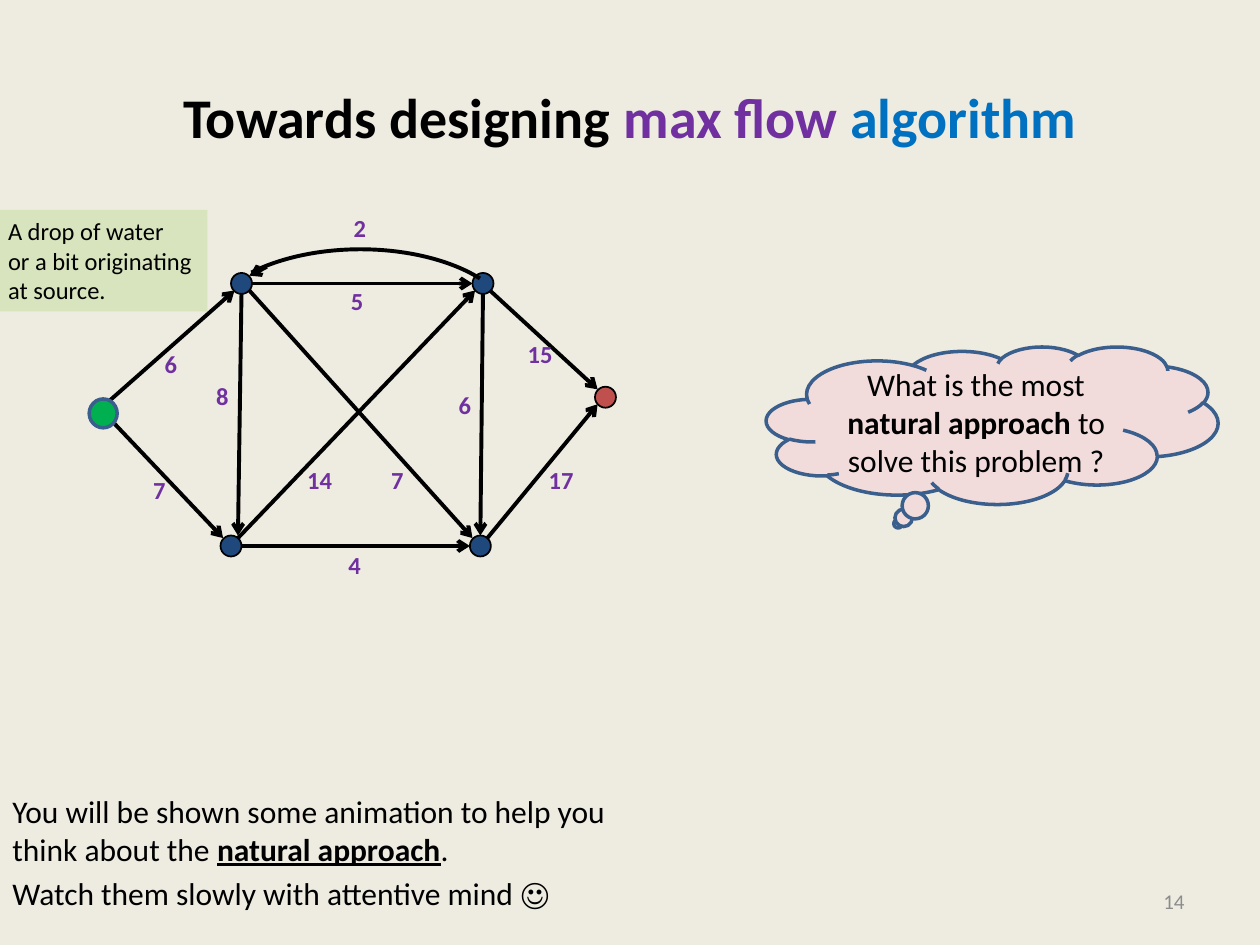
"""Build a slide with a flow network and a question about the natural approach."""
from lxml import etree
from pptx import Presentation
from pptx import util as u
from pptx.dml.color import RGBColor
from pptx.enum import shapes, text
from pptx.oxml.ns import qn

BLACK = RGBColor(0x00, 0x00, 0x00)
PURPLE = RGBColor(0x70, 0x30, 0xA0)
BLUE = RGBColor(0x00, 0x70, 0xC0)
GREY = RGBColor(0x8C, 0x8C, 0x8C)
CREAM = RGBColor(0xEE, 0xEC, 0xE1)
NAVY = RGBColor(0x1F, 0x49, 0x7D)
RED = RGBColor(0xC0, 0x50, 0x4D)
GREEN = RGBColor(0x00, 0xB0, 0x50)
OUTLINE = RGBColor(0x3A, 0x5F, 0x8C)
PINK = RGBColor(0xF2, 0xDC, 0xDB)
LIME = RGBColor(0xD7, 0xE4, 0xBD)

LEFT, CENTER, RIGHT = text.PP_ALIGN.LEFT, text.PP_ALIGN.CENTER, text.PP_ALIGN.RIGHT
TOP, MIDDLE = text.MSO_ANCHOR.TOP, text.MSO_ANCHOR.MIDDLE

deck = Presentation()
deck.slide_width, deck.slide_height = u.Pt(720), u.Pt(540)
page = deck.slides.add_slide(deck.slide_layouts[6])
page.background.fill.solid()
page.background.fill.fore_color.rgb = CREAM


def write(box, paragraphs, size, align=LEFT, anchor=TOP, wrap=True, gap=0):
    """Fill a shape with paragraphs made of (words, format values) spans."""
    frame = box.text_frame
    frame.word_wrap, frame.vertical_anchor = wrap, anchor
    for index, spans in enumerate(paragraphs):
        para = frame.paragraphs[0] if index == 0 else frame.add_paragraph()
        para.alignment = align
        if index and gap:
            para.space_before = u.Pt(gap)
        for words, changes in spans:
            span = para.add_run()
            span.text = words
            values = {"name": "Calibri", "size": u.Pt(size), "color": BLACK, **changes}
            span.font.color.rgb = values.pop("color")
            for name, value in values.items():
                setattr(span.font, name, value)


def draw(kind, place, fill, line, width):
    """Add a preset shape; a fill or line of None is left out."""
    shape = page.shapes.add_shape(kind, *map(u.Pt, place))
    shape.shadow.inherit = False
    for paint, color in ((shape.fill, fill), (shape.line.fill, line)):
        if color is None:
            paint.background()
        else:
            paint.solid()
            paint.fore_color.rgb = color
    if line is not None:
        shape.line.width = u.Pt(width)
    return shape


title = page.shapes.add_textbox(u.Pt(36), u.Pt(21.6), u.Pt(648), u.Pt(90))
write(title, [[("Towards designing ", {"bold": True}),
               ("max flow ", {"bold": True, "color": PURPLE}),
               ("algorithm", {"bold": True, "color": BLUE})]], 32, CENTER, MIDDLE)

advice = page.shapes.add_textbox(u.Pt(0), u.Pt(449), u.Pt(354), u.Pt(79))
write(advice, [[("You will be shown some animation to help you think about the ", {}),
                ("natural approach", {"bold": True, "underline": True}), (".", {})],
               [("Watch them slowly with attentive mind ☺", {})]], 18, gap=3.6)

number = page.shapes.add_textbox(u.Pt(516), u.Pt(500.5), u.Pt(168), u.Pt(28.8))
write(number, [[("14", {"color": GREY})]], 12, RIGHT, MIDDLE)

nodes = [(132, 156, NAVY), (270, 156, NAVY), (126, 306, NAVY),
         (268.5, 306, NAVY), (340, 221, RED)]
for left, top, color in nodes:
    draw(shapes.MSO_SHAPE.OVAL, (left, top, 12, 12), color, BLACK, 1)

arc = draw(shapes.MSO_SHAPE.ARC, (117.5, 142.5, 177, 91.5), None, BLACK, 2.25)
arc.adjustments[0], arc.adjustments[1] = 124.53, 202.16

edges = [(62, 229.5, 134, 166), (144, 162, 270, 162), (62, 238.5, 127.5, 307.5),
         (138, 312, 268.5, 312), (276, 168, 274.5, 306), (152.5, 152.5, 142.5, 157.5),
         (138, 168, 136, 306), (142.5, 166, 270, 307.5), (136, 307.5, 271.5, 166),
         (280, 166, 341.5, 222.5), (278.5, 307.5, 341.5, 231)]
for ends in edges:
    edge = page.shapes.add_connector(shapes.MSO_CONNECTOR.STRAIGHT, *map(u.Pt, ends))
    edge.line.color.rgb = BLACK
    edge.line.width = u.Pt(2.25)
    etree.SubElement(edge.line._get_or_add_ln(), qn("a:tailEnd"), type="arrow")
    etree.SubElement(edge._element.spPr, qn("a:effectLst"))

draw(shapes.MSO_SHAPE.OVAL, (51, 228, 16, 16.5), GREEN, OUTLINE, 2)

cloud = draw(shapes.MSO_SHAPE.CLOUD_CALLOUT, (438, 198, 258, 90), PINK, OUTLINE, 2)
write(cloud, [[("What is the most ", {}), ("natural approach ", {"bold": True}),
               ("to solve this problem ?", {})]], 18, CENTER, MIDDLE)

capacities = [("6", 87, 196), ("2", 195, 118), ("17", 306.5, 262), ("5", 193.5, 160),
              ("6", 255, 219.5), ("8", 116.5, 214), ("7", 80.5, 268), ("7", 216.5, 262),
              ("14", 168.5, 262), ("15", 294.5, 190), ("4", 192, 311)]
for capacity, left, top in capacities:
    width = 14.4 + 7.2 * len(capacity)
    label = page.shapes.add_textbox(u.Pt(left), u.Pt(top), u.Pt(width), u.Pt(24.5))
    write(label, [[(capacity, {"bold": True, "color": PURPLE})]], 14, wrap=False)

drop = draw(shapes.MSO_SHAPE.RECTANGLE, (-2.5, 120, 121, 58), LIME, None, 0)
lines = ("A drop of water", "or a bit originating", "at source.")
write(drop, [[(line, {})] for line in lines], 14, wrap=False)

deck.save("out.pptx")
